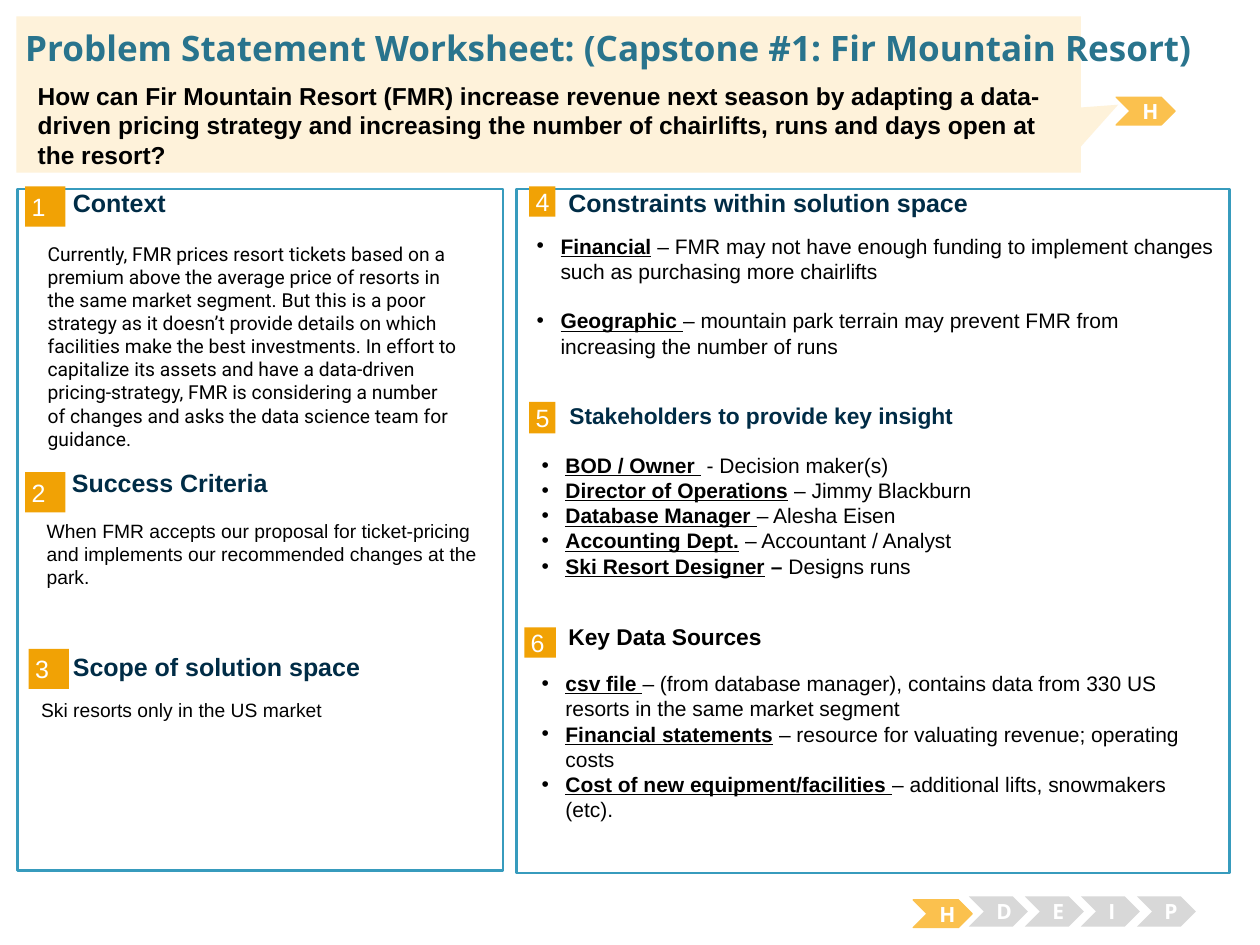
from dataclasses import dataclass

from lxml.etree import SubElement
from pptx import Presentation
from pptx.dml.color import RGBColor
from pptx.enum.shapes import MSO_SHAPE
from pptx.enum.text import MSO_ANCHOR, PP_ALIGN
from pptx.oxml.ns import qn
from pptx.util import Cm, Pt


@dataclass(frozen=True)
class Theme:
    white: str = "FFFFFF"
    black: str = "000000"
    navy: str = "002C46"
    teal: str = "29748D"
    frame: str = "379BBD"
    orange: str = "F1A205"
    amber: str = "FBC14E"
    cream: str = "FEF2DA"
    grey: str = "D8D8D8"
    title: float = 20
    question: float = 14
    heading: float = 14.3
    small_heading: float = 13
    bullet: float = 12
    body: float = 11
    sans: str = "Arial"
    display: str = "Open Sans"
    context: str = "Roboto"


THEME = Theme()
PADDED = (0.25, 0.13)
TIGHT = (0, 0)


@dataclass(frozen=True)
class Area:
    """Left, top, width and height in centimetres."""
    left: float
    top: float
    width: float
    height: float

    def lengths(self) -> tuple:
        return Cm(self.left), Cm(self.top), Cm(self.width), Cm(self.height)


@dataclass(frozen=True)
class Span:
    text: str
    size: float = THEME.body
    color: str = THEME.black
    bold: bool = False
    underline: bool = False
    font: str = THEME.sans


@dataclass(frozen=True)
class Section:
    number: str
    badge: Area
    heading: str
    heading_at: tuple
    heading_size: float = THEME.heading
    heading_color: str = THEME.navy


@dataclass(frozen=True)
class BulletList:
    area: Area
    items: tuple
    gap: float = 0


deck = Presentation()
deck.slide_width, deck.slide_height = Cm(25.4), Cm(19.05)
page = deck.slides.add_slide(deck.slide_layouts[6])


def add_span(para, span: Span) -> None:
    run = para.add_run()
    run.text = span.text
    font = run.font
    font.name, font.size = span.font, Pt(span.size)
    font.bold, font.underline = span.bold, span.underline
    font.color.rgb = RGBColor.from_string(span.color)


def set_frame(shape, insets: tuple, anchor=MSO_ANCHOR.TOP):
    frame = shape.text_frame
    frame.word_wrap = True
    frame.vertical_anchor = anchor
    frame.margin_left = frame.margin_right = Cm(insets[0])
    frame.margin_top = frame.margin_bottom = Cm(insets[1])
    return frame


def add_text(area: Area, span: Span, insets=PADDED, anchor=MSO_ANCHOR.TOP) -> None:
    box = page.shapes.add_textbox(*area.lengths())
    add_span(set_frame(box, insets, anchor).paragraphs[0], span)


def add_block(kind, area: Area, fill: str, line: str = "", weight: float = 0.75):
    shape = page.shapes.add_shape(kind, *area.lengths())
    shape.shadow.inherit = False
    shape.fill.solid()
    shape.fill.fore_color.rgb = RGBColor.from_string(fill)
    if line:
        shape.line.color.rgb = RGBColor.from_string(line)
        shape.line.width = Pt(weight)
    else:
        shape.line.fill.background()
    return shape


def add_section(section: Section) -> None:
    badge = add_block(MSO_SHAPE.RECTANGLE, section.badge, THEME.orange)
    para = set_frame(badge, (0.13, 0.13), MSO_ANCHOR.MIDDLE).paragraphs[0]
    para.alignment = PP_ALIGN.LEFT
    add_span(para, Span(section.number, THEME.heading, THEME.white))
    add_text(Area(*section.heading_at, 9.98, 0.64),
             Span(section.heading, section.heading_size, section.heading_color, bold=True),
             TIGHT, MSO_ANCHOR.MIDDLE)


def add_bullets(bullets: BulletList) -> None:
    box = page.shapes.add_textbox(*bullets.area.lengths())
    frame = set_frame(box, PADDED)
    for index, (term, dash, detail) in enumerate(bullets.items):
        para = frame.paragraphs[0] if index == 0 else frame.add_paragraph()
        para.space_after = Pt(bullets.gap)
        props = para._p.get_or_add_pPr()
        props.set("marL", str(Cm(0.48)))
        props.set("indent", str(-Cm(0.48)))
        color = SubElement(props, qn("a:buClr"))
        SubElement(color, qn("a:srgbClr")).set("val", THEME.black)
        SubElement(props, qn("a:buFont")).set("typeface", THEME.sans)
        SubElement(props, qn("a:buChar")).set("char", "•")
        add_span(para, Span(term, THEME.bullet, bold=True, underline=True))
        if dash:
            add_span(para, Span(dash, THEME.bullet, bold=True))
        add_span(para, Span(detail, THEME.bullet))


def add_step(letter: str, area: Area, active: bool = False) -> None:
    fill = THEME.amber if active else THEME.grey
    chevron = add_block(MSO_SHAPE.CHEVRON, area, fill, fill if active else "")
    para = set_frame(chevron, PADDED, MSO_ANCHOR.MIDDLE).paragraphs[0]
    para.alignment = PP_ALIGN.CENTER
    add_span(para, Span(letter, THEME.bullet, THEME.white, bold=True, font=THEME.display))


# Panels
for panel in (Area(0.36, 3.81, 9.78, 13.74), Area(10.41, 3.81, 14.38, 13.79)):
    add_block(MSO_SHAPE.RECTANGLE, panel, THEME.white, THEME.frame, 1.5)

# Numbered sections
SECTIONS = (
    Section("1", Area(0.51, 3.76, 0.81, 0.81), "Context", (1.47, 3.76)),
    Section("2", Area(0.51, 9.52, 0.81, 0.81), "Success Criteria", (1.45, 9.4)),
    Section("3", Area(0.58, 13.08, 0.81, 0.81), "Scope of solution space", (1.47, 13.11)),
    Section("4", Area(10.67, 3.76, 0.53, 0.61), "Constraints within solution space", (11.46, 3.76)),
    Section("5", Area(10.67, 8.1, 0.53, 0.64), "Stakeholders to provide key insight",
            (11.48, 8.05), THEME.small_heading),
    Section("6", Area(10.57, 12.65, 0.64, 0.61), "Key Data Sources",
            (11.46, 12.5), THEME.small_heading, THEME.black),
)
for section in SECTIONS:
    add_section(section)

# Left panel text
add_text(Area(0.71, 4.75, 8.81, 4.34), Span(
    "Currently, FMR prices resort tickets based on a premium above the average price of "
    "resorts in the same market segment. But this is a poor strategy as it doesn’t provide "
    "details on which facilities make the best investments. In effort to capitalize its assets "
    "and have a data-driven pricing-strategy, FMR is considering a number of changes and asks "
    "the data science team for guidance.", font=THEME.context))
add_text(Area(0.69, 10.34, 9.32, 2.36), Span(
    "When FMR accepts our proposal for ticket-pricing and implements our recommended "
    "changes at the park."))
add_text(Area(0.58, 13.94, 9.02, 2.08), Span("Ski resorts only in the US market"))

# Right panel lists: term, bold dash, detail
LISTS = (
    BulletList(Area(10.57, 4.57, 14.25, 3.35), (
        ("Financial", "", " – FMR may not have enough funding to implement changes such as "
                          "purchasing more chairlifts"),
        ("Geographic ", "", "– mountain park terrain may prevent FMR from increasing the "
                            "number of runs")), gap=14),
    BulletList(Area(10.67, 8.99, 13.84, 3.15), (
        ("BOD / Owner ", "", " - Decision maker(s)"),
        ("Director of Operations", "", " – Jimmy Blackburn"),
        ("Database Manager ", "", "– Alesha Eisen"),
        ("Accounting Dept.", "", " – Accountant / Analyst"),
        ("Ski Resort Designer", " – ", "Designs runs"))),
    BulletList(Area(10.67, 13.39, 13.84, 4.17), (
        ("csv file ", "", "– (from database manager), contains data from 330 US resorts in "
                          "the same market segment"),
        ("Financial statements", "", " – resource for valuating revenue; operating costs"),
        ("Cost of new equipment/facilities ", "", "– additional lifts, snowmakers (etc)."))),
)
for bullets in LISTS:
    add_bullets(bullets)

# Step tracker
add_step("H", Area(18.41, 18.14, 1.19, 0.56), active=True)
for index, letter in enumerate("DEIP"):
    add_step(letter, Area(19.53 + 1.13 * index, 18.07, 1.19, 0.61))
add_step("H", Area(22.5, 1.96, 1.19, 0.56), active=True)

# Title and key question
callout = add_block(MSO_SHAPE.RECTANGULAR_CALLOUT, Area(0.33, 0.33, 21.46, 3.15), THEME.cream)
callout.adjustments[0], callout.adjustments[1] = 0.535, 0.066
add_text(Area(0.51, 0.53, 24.43, 0.86), Span(
    "Problem Statement Worksheet: (Capstone #1: Fir Mountain Resort)",
    THEME.title, THEME.teal, bold=True, font=THEME.display), TIGHT)
add_text(Area(0.51, 1.5, 21.06, 1.96), Span(
    "How can Fir Mountain Resort (FMR) increase revenue next season by adapting a data-driven "
    "pricing strategy and increasing the number of chairlifts, runs and days open at the "
    "resort?", THEME.question, bold=True))

deck.save("out.pptx")
